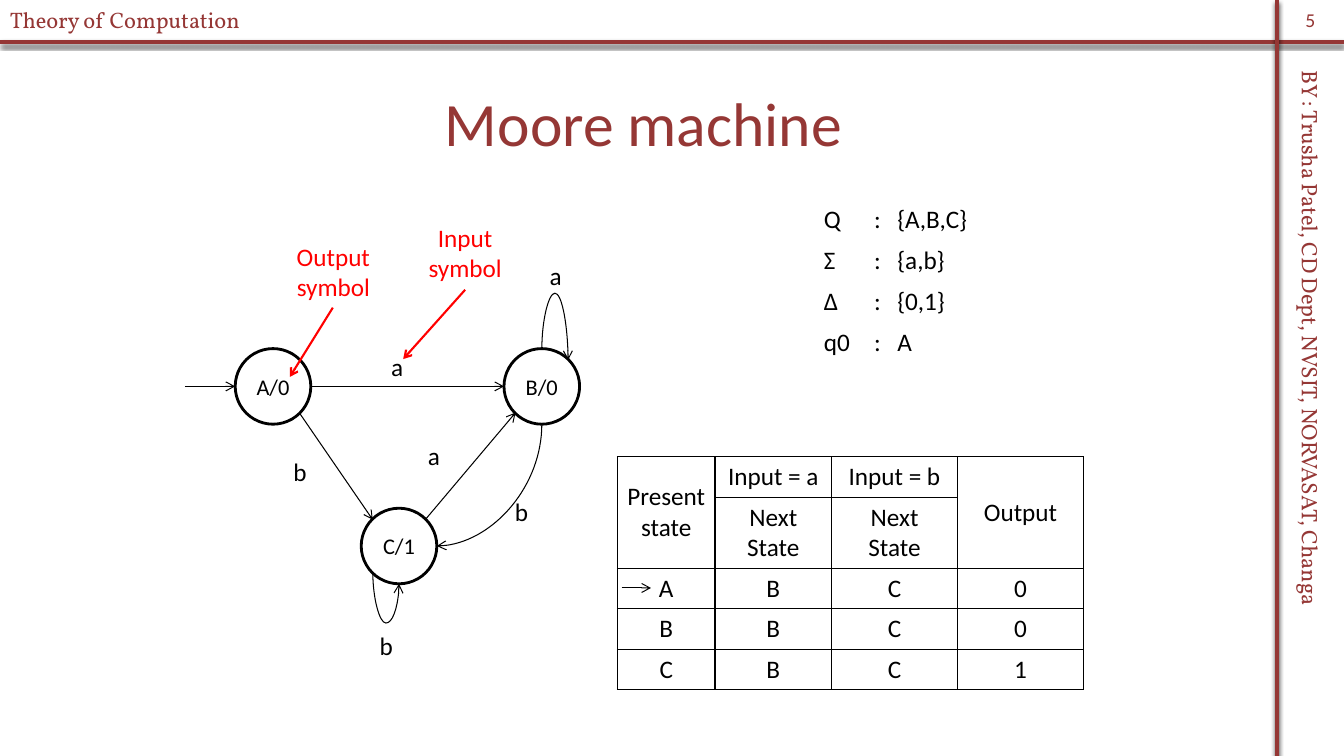
"""Build the Moore machine slide: state diagram, definitions and transition table."""
from dataclasses import dataclass
from math import cos, radians, sin
from typing import Optional

from lxml.etree import SubElement
from pptx import Presentation
from pptx.dml.color import RGBColor
from pptx.enum.shapes import MSO_CONNECTOR, MSO_SHAPE
from pptx.enum.text import MSO_ANCHOR, MSO_AUTO_SIZE, PP_ALIGN
from pptx.oxml.ns import qn
from pptx.util import Emu, Pt

PX = 9525
CIRCLE = 72


@dataclass(frozen=True)
class Theme:
    maroon: RGBColor = RGBColor(0x95, 0x37, 0x35)
    black: RGBColor = RGBColor(0, 0, 0)
    red: RGBColor = RGBColor(0xFF, 0, 0)
    white: RGBColor = RGBColor(0xFF, 0xFF, 0xFF)
    body_font: str = "Calibri"
    running_font: str = "Vollkorn"
    title: int = 44
    body: int = 18
    small: int = 16
    number: int = 14


THEME = Theme()


@dataclass(frozen=True)
class Style:
    size: int = THEME.body
    color: RGBColor = THEME.black
    font: str = THEME.body_font
    align: PP_ALIGN = PP_ALIGN.CENTER


@dataclass(frozen=True)
class State:
    text: str
    left: int
    top: int

    def site(self, index: int) -> tuple[int, int]:
        angle = radians(270 - 45 * index)
        radius = CIRCLE / 2
        return (round(self.left + radius + radius * cos(angle)),
                round(self.top + radius + radius * sin(angle)))


@dataclass(frozen=True)
class Curve:
    preset: str
    rotation: int
    flip: bool = False
    bend: Optional[int] = None


@dataclass(frozen=True)
class Edge:
    source: str
    source_site: int
    target: str
    target_site: int
    curve: Optional[Curve] = None


@dataclass(frozen=True)
class Label:
    text: str
    left: int
    top: int
    width: int
    height: int = 38
    style: Style = Style(align=PP_ALIGN.LEFT)
    rotation: int = 0


@dataclass(frozen=True)
class Arrow:
    start: tuple[float, float]
    end: tuple[float, float]
    color: RGBColor = THEME.black
    weight: float = 0.75


RUNNING = Style(THEME.small, THEME.maroon, THEME.running_font, PP_ALIGN.LEFT)
NUMBER = Style(THEME.number, THEME.maroon)
CALLOUT = Style(color=THEME.red)
RULES = [Arrow((0, 40), (1280, 40), THEME.maroon, 3),
         Arrow((1216, 0), (1216, 720), THEME.maroon, 3)]
STATES = {"A": State("A/0", 224, 332), "B": State("B/0", 480, 332), "C": State("C/1", 344, 484)}
EDGES = [
    Edge("A", 6, "B", 2),
    Edge("A", 5, "C", 1),
    Edge("C", 7, "B", 3),
    Edge("B", 4, "C", 6, Curve("curvedConnector2", 90)),
    Edge("B", 0, "B", 7, Curve("curvedConnector3", 270, True, -480000)),
    Edge("C", 3, "C", 4, Curve("curvedConnector3", 270, True, 440000)),
]
ARROWS = [
    Arrow((176, 368), (224, 368)),
    Arrow((317, 293), (276, 359), THEME.red, 1.5),
    Arrow((443, 276), (384, 342), THEME.red, 1.5),
    Arrow((592, 560), (620, 560)),
]
LABELS = [
    Label("BY : Trusha Patel, CD Dept, NVSIT, NORVASAT, Changa", 940, 348, 616, 36, RUNNING, 90),
    Label("Theory of Computation", 0, 1, 316, 36, RUNNING),
    Label("5", 1216, 3, 64, 32, NUMBER),
    Label("a", 363, 330, 31),
    Label("b", 270, 430, 33),
    Label("b", 352, 596, 33),
    Label("b", 481, 468, 33),
    Label("a", 398, 415, 31),
    Label("a", 514, 243, 31),
    Label("Output\nsymbol", 271, 225, 93, 68, CALLOUT),
    Label("Input\nsymbol", 398, 207, 90, 68, CALLOUT),
]
DEFINITIONS = [["Q", ":\t{A,B,C}"], ["Σ", ":\t{a,b}"], ["Δ", ":\t{0,1}"], ["q0", ":\tA"]]
TRANSITIONS = [
    ["Present state", "Input = a", "Input = b", "Output"],
    ["", "Next State", "Next\nState", ""],
    ["A", "B", "C", "0"],
    ["B", "B", "C", "0"],
    ["C", "B", "C", "1"],
]


def px(*lengths: float) -> list[Emu]:
    return [Emu(round(length * PX)) for length in lengths]


def write(frame, text: str, style: Style) -> None:
    for index, line in enumerate(text.split("\n")):
        para = frame.paragraphs[0] if index == 0 else frame.add_paragraph()
        para.alignment = style.align
        span = para.add_run()
        span.text = line
        span.font.size = Pt(style.size)
        span.font.name = style.font
        span.font.color.rgb = style.color


def draw_label(page, label: Label) -> None:
    box = page.shapes.add_textbox(*px(label.left, label.top, label.width, label.height))
    box.rotation = label.rotation
    frame = box.text_frame
    frame.word_wrap = False
    frame.auto_size = MSO_AUTO_SIZE.SHAPE_TO_FIT_TEXT
    write(frame, label.text, label.style)


def draw_line(page, arrow: Arrow, kind=MSO_CONNECTOR.STRAIGHT, head: bool = True):
    line = page.shapes.add_connector(kind, *px(*arrow.start, *arrow.end))
    line.line.color.rgb = arrow.color
    line.line.width = Pt(arrow.weight)
    properties = line.element.spPr
    if head:
        SubElement(properties.find(qn("a:ln")), qn("a:tailEnd"), type="arrow")
    SubElement(properties, qn("a:effectLst"))
    return line


def draw_rule(page, rule: Arrow) -> None:
    line = draw_line(page, rule, head=False)
    effects = line.element.spPr.find(qn("a:effectLst"))
    shadow = SubElement(effects, qn("a:outerShdw"), blurRad=str(Pt(3.1)), dist=str(Pt(1.8)),
                        dir="5400000", rotWithShape="0")
    color = SubElement(shadow, qn("a:srgbClr"), val=str(THEME.black))
    SubElement(color, qn("a:alpha"), val="70000")


def draw_state(page, state: State):
    circle = page.shapes.add_shape(MSO_SHAPE.OVAL, *px(state.left, state.top, CIRCLE, CIRCLE))
    circle.shadow.inherit = False
    circle.fill.solid()
    circle.fill.fore_color.rgb = THEME.white
    circle.line.color.rgb = THEME.black
    circle.line.width = Pt(2)
    circle.text_frame.vertical_anchor = MSO_ANCHOR.MIDDLE
    write(circle.text_frame, state.text, Style(THEME.small))
    return circle


def draw_edge(page, edge: Edge, circles: dict) -> None:
    start = STATES[edge.source].site(edge.source_site)
    end = STATES[edge.target].site(edge.target_site)
    if edge.curve is None:
        line = draw_line(page, Arrow(start, end))
    else:
        middle = [(a + b) / 2 for a, b in zip(start, end)]
        half_width, half_height = abs(end[1] - start[1]) / 2, abs(end[0] - start[0]) / 2
        box = Arrow((middle[0] - half_width, middle[1] - half_height),
                    (middle[0] + half_width, middle[1] + half_height))
        line = draw_line(page, box, MSO_CONNECTOR.CURVE)
        bend_curve(line, edge.curve)
    joints = line.element.find(".//" + qn("p:cNvCxnSpPr"))
    for tag, name, site in (("a:stCxn", edge.source, edge.source_site),
                            ("a:endCxn", edge.target, edge.target_site)):
        SubElement(joints, qn(tag), id=str(circles[name].shape_id), idx=str(site))


def bend_curve(line, curve: Curve) -> None:
    transform = line.element.spPr.find(qn("a:xfrm"))
    transform.set("rot", str(curve.rotation * 60000))
    if curve.flip:
        transform.set("flipH", "1")
    geometry = line.element.spPr.find(qn("a:prstGeom"))
    geometry.set("prst", curve.preset)
    if curve.bend is not None:
        guides = geometry.find(qn("a:avLst"))
        SubElement(guides, qn("a:gd"), name="adj1", fmla=f"val {curve.bend}")


def draw_table(page, corner: tuple[int, int], columns: list[int], rows: list[int],
               texts: list[list[str]], style: Style):
    frame = page.shapes.add_table(len(rows), len(columns), *px(*corner, sum(columns), sum(rows)))
    table = frame.table
    table.first_row = table.horz_banding = False
    for column, width in zip(table.columns, px(*columns)):
        column.width = width
    for row, height, line in zip(table.rows, px(*rows), texts):
        row.height = height
        for cell, text in zip(row.cells, line):
            cell.fill.background()
            if text:
                write(cell.text_frame, text, style)
    return table


def add_tab_stop(para, position: int) -> None:
    stops = SubElement(para._p.get_or_add_pPr(), qn("a:tabLst"))
    SubElement(stops, qn("a:tab"), pos=str(position * PX), algn="l")


def rule_cell(cell) -> None:
    cell.vertical_anchor = MSO_ANCHOR.MIDDLE
    cell.margin_left, cell.margin_right = px(6, 6)
    properties = cell._tc.get_or_add_tcPr()
    for index, side in enumerate(("a:lnL", "a:lnR", "a:lnT", "a:lnB")):
        border = SubElement(properties, qn(side), w=str(Pt(1)))
        fill = SubElement(border, qn("a:solidFill"))
        SubElement(fill, qn("a:srgbClr"), val=str(THEME.black))
        properties.insert(index, border)


def main() -> None:
    deck = Presentation()
    deck.slide_width, deck.slide_height = px(1280, 720)
    page = deck.slides.add_slide(deck.slide_layouts[5])
    title = page.shapes.title
    title.left, title.top, title.width, title.height = px(21, 56, 1184, 120)
    title.text_frame.vertical_anchor = MSO_ANCHOR.MIDDLE
    write(title.text_frame, "Moore machine", Style(THEME.title, THEME.maroon))
    for rule in RULES:
        draw_rule(page, rule)
    circles = {name: draw_state(page, state) for name, state in STATES.items()}
    for edge in EDGES:
        draw_edge(page, edge, circles)
    for label in LABELS:
        draw_label(page, label)
    definitions = draw_table(page, (775, 190), [48, 113], [39] * 4, DEFINITIONS,
                             Style(align=PP_ALIGN.LEFT))
    for row in definitions.rows:
        add_tab_stop(row.cells[1].text_frame.paragraphs[0], 22)
    transitions = draw_table(page, (588, 435), [93, 111, 120, 120], [29, 68, 38, 38, 38],
                             TRANSITIONS, Style())
    for cell in transitions.iter_cells():
        rule_cell(cell)
    for column in (0, 3):
        transitions.cell(0, column).merge(transitions.cell(1, column))
    for arrow in ARROWS:
        draw_line(page, arrow)
    deck.save("out.pptx")


if __name__ == "__main__":
    main()
